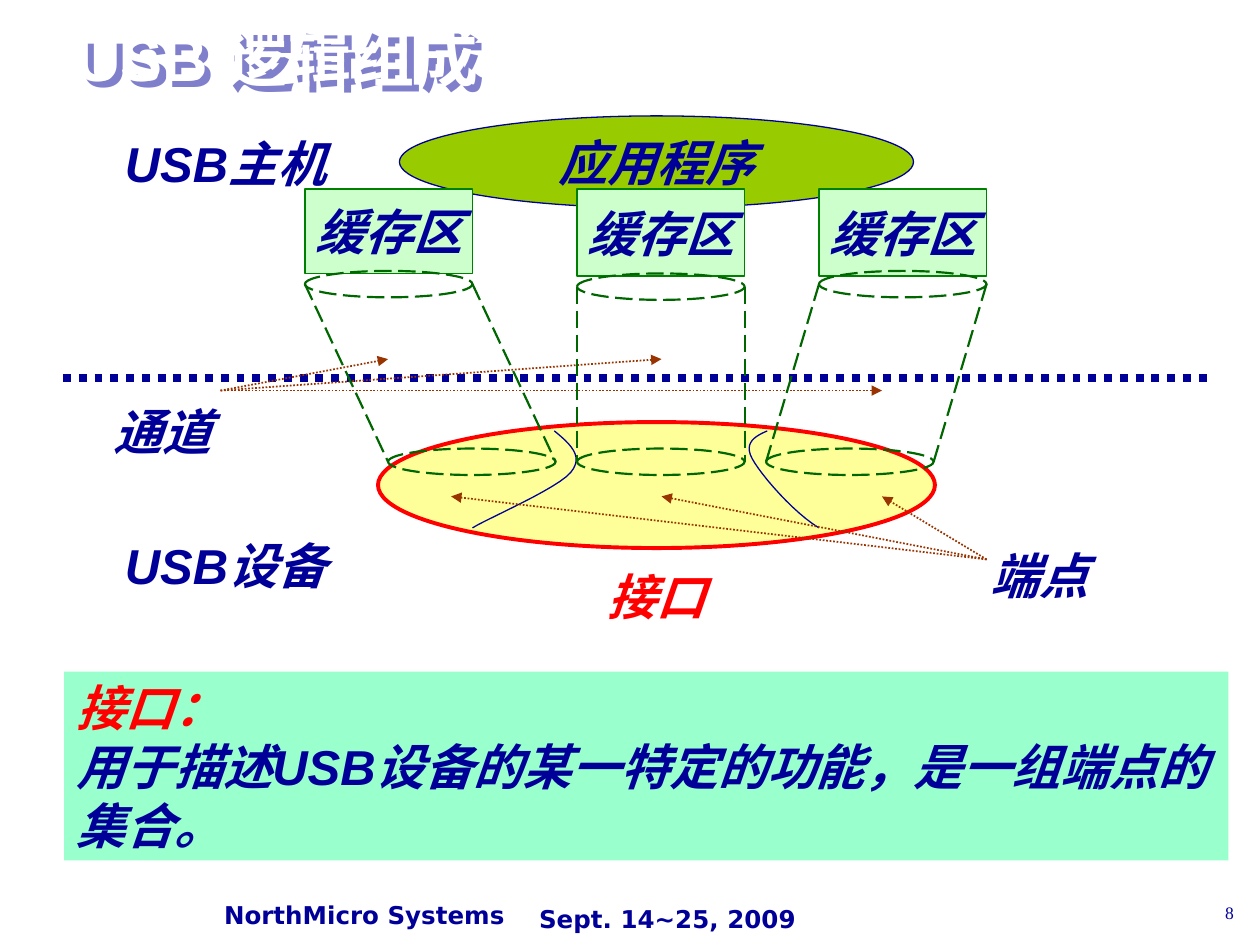
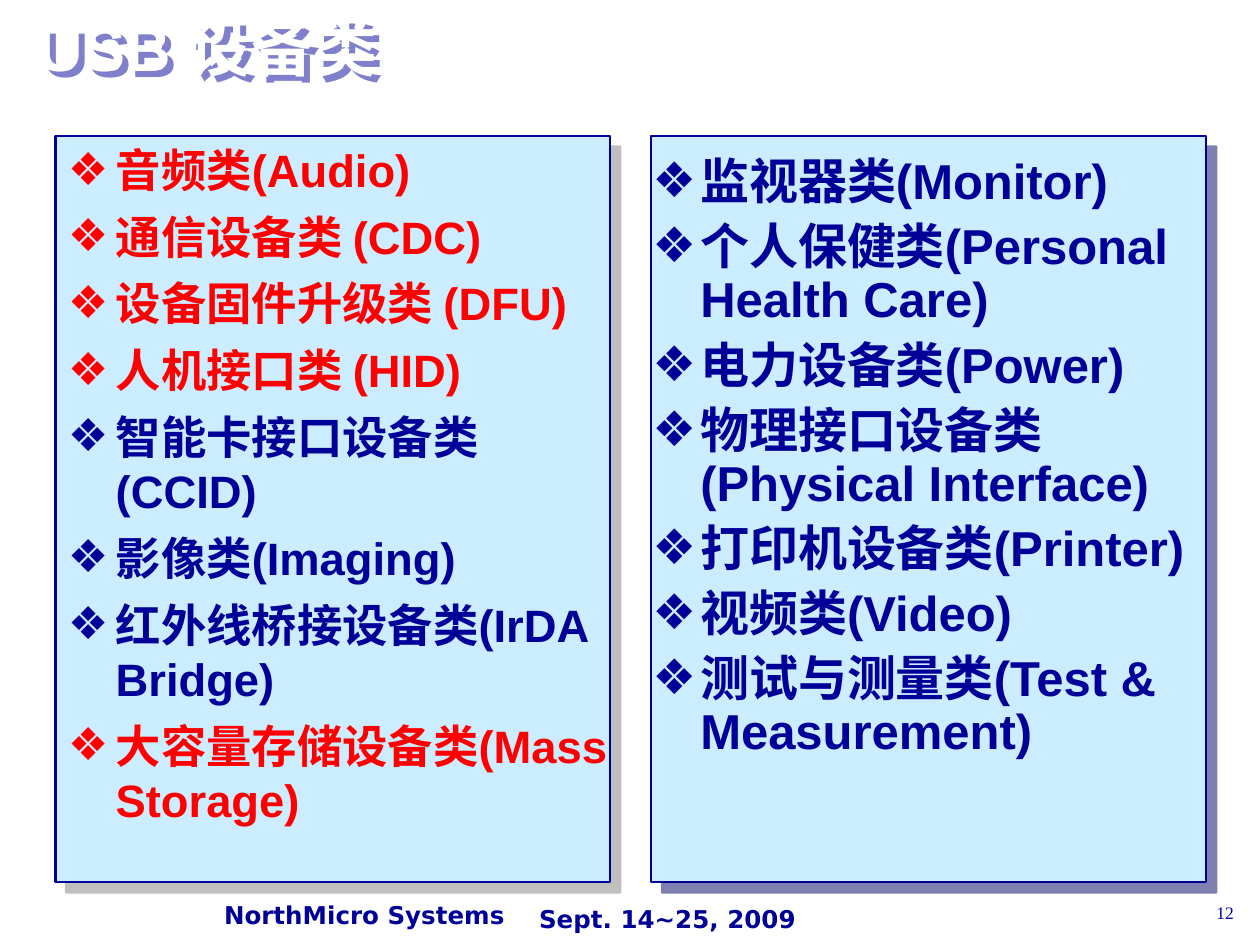
from lxml import etree
from pptx import Presentation, util as u
from pptx.dml.color import RGBColor
from pptx.enum import dml, shapes, text
from pptx.oxml.ns import qn

NAVY, RED, WHITE = "000099", "FF0000", "FFFFFF"
BROWN, PIPE_GREEN, BUFFER_GREEN = "993300", "006600", "008000"
DOTTED, DASHED = dml.MSO_LINE.ROUND_DOT, dml.MSO_LINE.LONG_DASH
CENTER, RIGHT = text.PP_ALIGN.CENTER, text.PP_ALIGN.RIGHT
MIDDLE, TOP = text.MSO_ANCHOR.MIDDLE, text.MSO_ANCHOR.TOP
RECTANGLE, OVAL = shapes.MSO_SHAPE.RECTANGLE, shapes.MSO_SHAPE.OVAL


def color(value):
    return RGBColor.from_string(value)


def inches(*values):
    return [u.Inches(value) for value in values]


def child(parent, tag, **attributes):
    return etree.SubElement(parent, qn(tag), {k: str(v) for k, v in attributes.items()})


def add_shadow(shape, value, distance):
    """Half-transparent shadow falling to the lower right."""
    shape.shadow.inherit = False
    effects = shape._element.spPr.find(qn("a:effectLst"))
    shadow = child(effects, "a:outerShdw", dist=u.Pt(distance), dir=45 * 60000,
                   algn="ctr", rotWithShape=0)
    child(child(shadow, "a:srgbClr", val=value), "a:alpha", val=50000)


def style_line(line, value, width, dash=None):
    line.color.rgb = color(value)
    line.width = u.Pt(width)
    if dash:
        line.dash_style = dash


def write(shape, lines, size=28, font="Arial", fill=NAVY, bold=True, italic=False,
          align=None, anchor=MIDDLE, wrap=True, spacing=None, before=0, bullet=None):
    """Fill a shape with lines, each a string or a (string, colour) pair."""
    frame = shape.text_frame
    frame.word_wrap = wrap
    frame.vertical_anchor = anchor
    for index, line in enumerate(lines):
        words, line_color = line if isinstance(line, tuple) else (line, fill)
        paragraph = frame.paragraphs[0] if index == 0 else frame.add_paragraph()
        paragraph.alignment = align or text.PP_ALIGN.LEFT
        paragraph.line_spacing = spacing
        if index and before:
            paragraph.space_before = u.Pt(before)
        if bullet:
            properties = paragraph._p.get_or_add_pPr()
            properties.set("marL", str(u.Inches(0.38)))
            properties.set("indent", str(u.Inches(-0.38)))
            child(child(properties, "a:buClr"), "a:srgbClr", val=line_color)
            child(properties, "a:buFont", typeface="DejaVu Sans")
            child(properties, "a:buChar", char=bullet)
        run = paragraph.add_run()
        run.text = words
        run.font.size, run.font.name = u.Pt(size), font
        run.font.bold, run.font.italic = bold, italic
        run.font.color.rgb = color(line_color)


def add_text(slide, box, *lines, **style):
    shape = slide.shapes.add_textbox(*inches(*box))
    write(shape, lines, **style)
    return shape


def add_label(slide, center, top, words, width=2.1, **style):
    """One-line label, centred on a point and wide enough not to wrap."""
    add_text(slide, (center - width / 2, top, width, 0.42), words,
             italic=True, align=CENTER, **style)


def add_block(slide, kind, box, fill=None, line=None):
    """Preset shape; line is (colour, width) or (colour, width, dash)."""
    shape = slide.shapes.add_shape(kind, *inches(*box))
    shape.shadow.inherit = False
    if fill:
        shape.fill.solid()
        shape.fill.fore_color.rgb = color(fill)
    else:
        shape.fill.background()
    if line:
        style_line(shape.line, *line)
    else:
        shape.line.fill.background()
    return shape


def add_line(slide, start, end, value, width, dash=None, arrow=False):
    connector = slide.shapes.add_connector(
        shapes.MSO_CONNECTOR.STRAIGHT, *inches(*start, *end))
    style_line(connector.line, value, width, dash)
    if arrow:
        child(connector.line._get_or_add_ln(), "a:tailEnd", type="triangle")
    child(connector._element.spPr, "a:effectLst")


def add_arrow_fan(slide, start, ends):
    for end in ends:
        add_line(slide, start, end, BROWN, 1, DOTTED, arrow=True)


def add_curve(slide, start, *segments, steps=12):
    """Open outline through cubic segments of two controls and an end."""
    points = []
    origin = start
    for a, b, end in segments:
        for step in range(1, steps + 1):
            t = step / steps
            s = 1 - t
            points.append(inches(*(
                s**3 * p + 3 * s * s * t * q + 3 * s * t * t * r + t**3 * e
                for p, q, r, e in zip(origin, a, b, end))))
        origin = end
    builder = slide.shapes.build_freeform(*inches(*start))
    builder.add_line_segments(points, close=False)
    shape = builder.convert_to_shape()
    shape.shadow.inherit = False
    shape.fill.background()
    style_line(shape.line, NAVY, 0.75)


# Parts on every slide
def add_frame(presentation, title, title_box, number):
    slide = presentation.slides.add_slide(presentation.slide_layouts[6])
    for box, words in (((1.68, 7.11, 2.5, 0.3), "NorthMicro Systems"),
                       ((4.18, 7.1, 2.33, 0.39), "Sept. 14~25, 2009")):
        add_text(slide, box, words, size=14, font="DejaVu Sans")
    heading = add_text(slide, title_box, title, size=36, fill=WHITE, spacing=0.8)
    add_shadow(heading, NAVY, 5)
    add_text(slide, (8.94, 7.11, 0.95, 0.39), number, size=10,
             font="Times New Roman", bold=False, align=RIGHT, anchor=TOP)
    return slide


# Logical structure: host above the dotted line, device below
def add_device(slide, left, top):
    add_block(slide, OVAL, (left, top, 4.42, 1), "FFFF99", (RED, 2.25))
    add_label(slide, left + 2.21, top + 1.17, "接口", fill=RED, font="DejaVu Sans")
    # Borders between the interfaces
    borders = (
        [(1.4, 0.07), ((1.52, 0.17), (1.64, 0.27), (1.53, 0.4)),
         ((1.42, 0.53), (0.88, 0.76), (0.75, 0.84))],
        [(3.09, 0.07), ((3, 0.11), (2.9, 0.16), (2.97, 0.29)),
         ((3.04, 0.42), (3.3, 0.72), (3.5, 0.84))])
    for start, *segments in borders:
        add_curve(slide, (left + start[0], top + start[1]),
                  *[[(left + x, top + y) for x, y in segment] for segment in segments])


def add_host(slide, left, top):
    program = add_block(slide, OVAL, (left, top, 4.08, 0.73), "99CC00", (NAVY, 0.75))
    write(program, ["应用程序"], italic=True, align=CENTER, wrap=False)


def add_buffer(slide, left, top, height):
    buffer = add_block(slide, RECTANGLE, (left, top, 1.33, height),
                       "CCFFCC", (BUFFER_GREEN, 0.75))
    write(buffer, ["缓存区"], italic=True, align=CENTER, wrap=False)


def add_pipe(slide, top_left, top, bottom_left, bottom, width=1.33, depth=0.21):
    dashes = (PIPE_GREEN, 1.25, DASHED)
    for left, y in ((top_left, top), (bottom_left, bottom)):
        add_block(slide, OVAL, (left, y, width, depth), line=dashes)
    for side in (0, width):
        add_line(slide, (top_left + side, top + depth / 2),
                 (bottom_left + side, bottom + depth / 2), *dashes)


def add_definition(slide, box):
    panel = add_block(slide, RECTANGLE, box, "99FFCC")
    write(panel, [("接口：", RED), "用于描述USB设备的某一特定的功能，是一组端点的集合。"],
          italic=True)


def build_structure_slide(presentation):
    slide = add_frame(presentation, "USB 逻辑组成", (0.5, 0.17, 9.08, 0.67), "8")
    add_device(slide, 3, 3.35)
    add_line(slide, (0.5, 3), (9.58, 3), NAVY, 4.5, DOTTED)
    for center, top, words in ((1.79, 1.08, "USB主机"), (1.29, 3.21, "通道"),
                               (8.25, 4.35, "端点"), (1.79, 4.27, "USB设备")):
        add_label(slide, center, top, words)
    add_arrow_fan(slide, (1.75, 3.1), [(3.08, 2.85), (5.25, 2.85), (7, 3.1)])
    add_arrow_fan(slide, (7.83, 4.44), [(x, 3.94) for x in (7, 5.25, 3.58)])
    add_definition(slide, (0.51, 5.33, 9.24, 1.5))
    add_host(slide, 3.17, 0.92)
    # Buffer left and height, then pipe top and lower left
    for left, height, pipe_top, end_left in ((2.42, 0.67, 2.15, 3.08),
                                             (4.58, 0.69, 2.17, 4.58),
                                             (6.5, 0.69, 2.15, 6.08)):
        add_buffer(slide, left, 1.5, height)
        add_pipe(slide, left, pipe_top, end_left, 3.56)


# Device classes in two shadowed panels
def add_class_panel(slide, box, shadow, text_box, classes, **style):
    panel = add_block(slide, RECTANGLE, box, "CCECFF", (NAVY, 1.25))
    add_shadow(panel, shadow, 8.5)
    add_text(slide, text_box, *classes, anchor=TOP, before=7, bullet="❖", **style)


def build_classes_slide(presentation):
    slide = add_frame(presentation, "USB 设备类", (0.2, 0, 8.51, 0.84), "12")
    add_class_panel(
        slide, (0.44, 1.08, 4.4, 5.92), "808080", (0.44, 1.08, 4.5, 6.08),
        [("音频类(Audio)", RED), ("通信设备类 (CDC)", RED), ("设备固件升级类 (DFU)", RED),
         ("人机接口类 (HID)", RED), "智能卡接口设备类(CCID)", "影像类(Imaging)",
         "红外线桥接设备类(IrDA Bridge)", ("大容量存储设备类(Mass Storage)", RED)],
        size=25.9)
    add_class_panel(
        slide, (5.17, 1.08, 4.4, 5.92), "000066", (5.08, 1.2, 4.5, 5.96),
        ["监视器类(Monitor)", "个人保健类(Personal Health Care)", "电力设备类(Power)",
         "物理接口设备类(Physical Interface)", "打印机设备类(Printer)", "视频类(Video)",
         "测试与测量类(Test & Measurement)"],
        spacing=0.9)


def main():
    presentation = Presentation()
    presentation.slide_width, presentation.slide_height = inches(10, 7.5)
    build_structure_slide(presentation)
    build_classes_slide(presentation)
    presentation.save("out.pptx")


if __name__ == "__main__":
    main()
